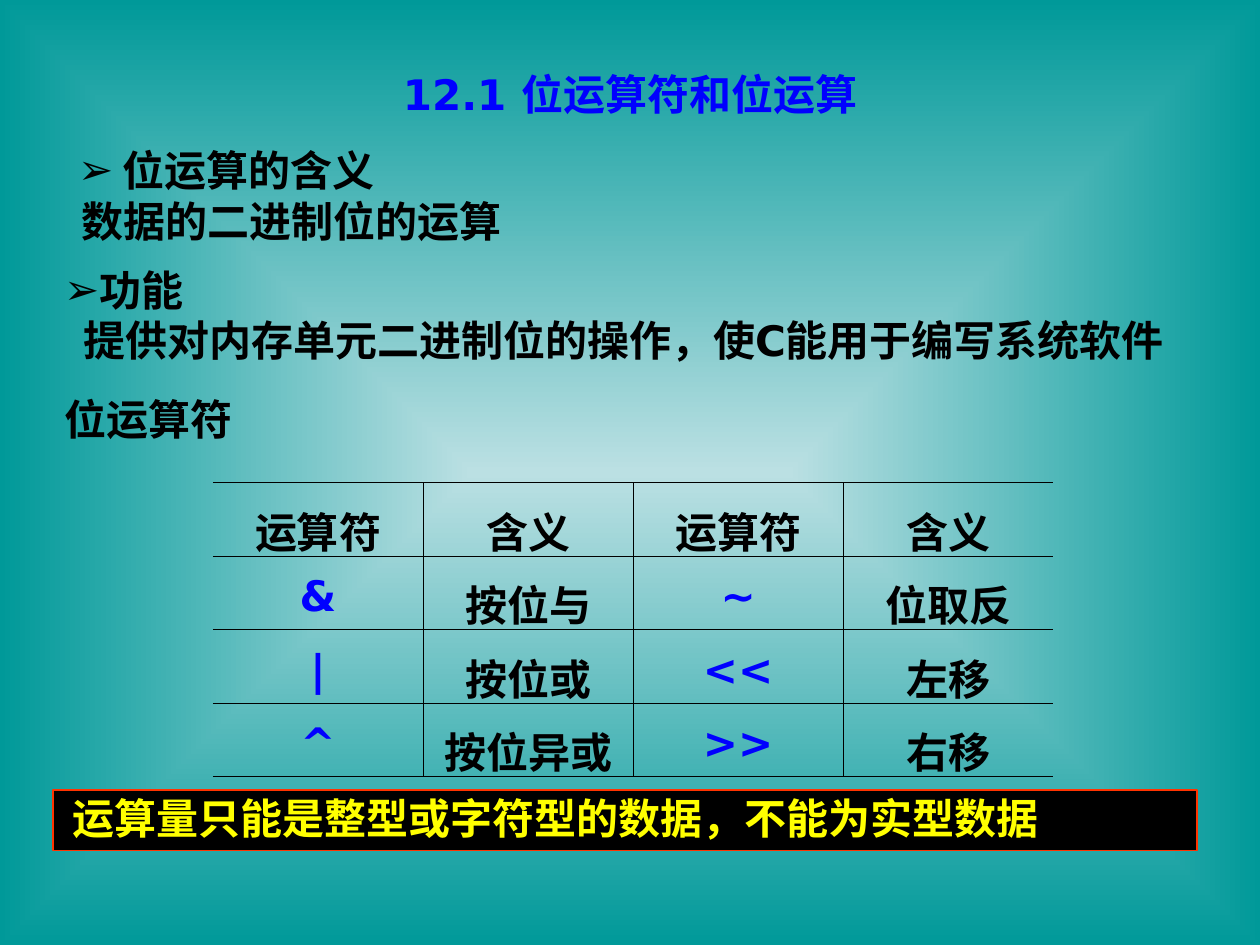
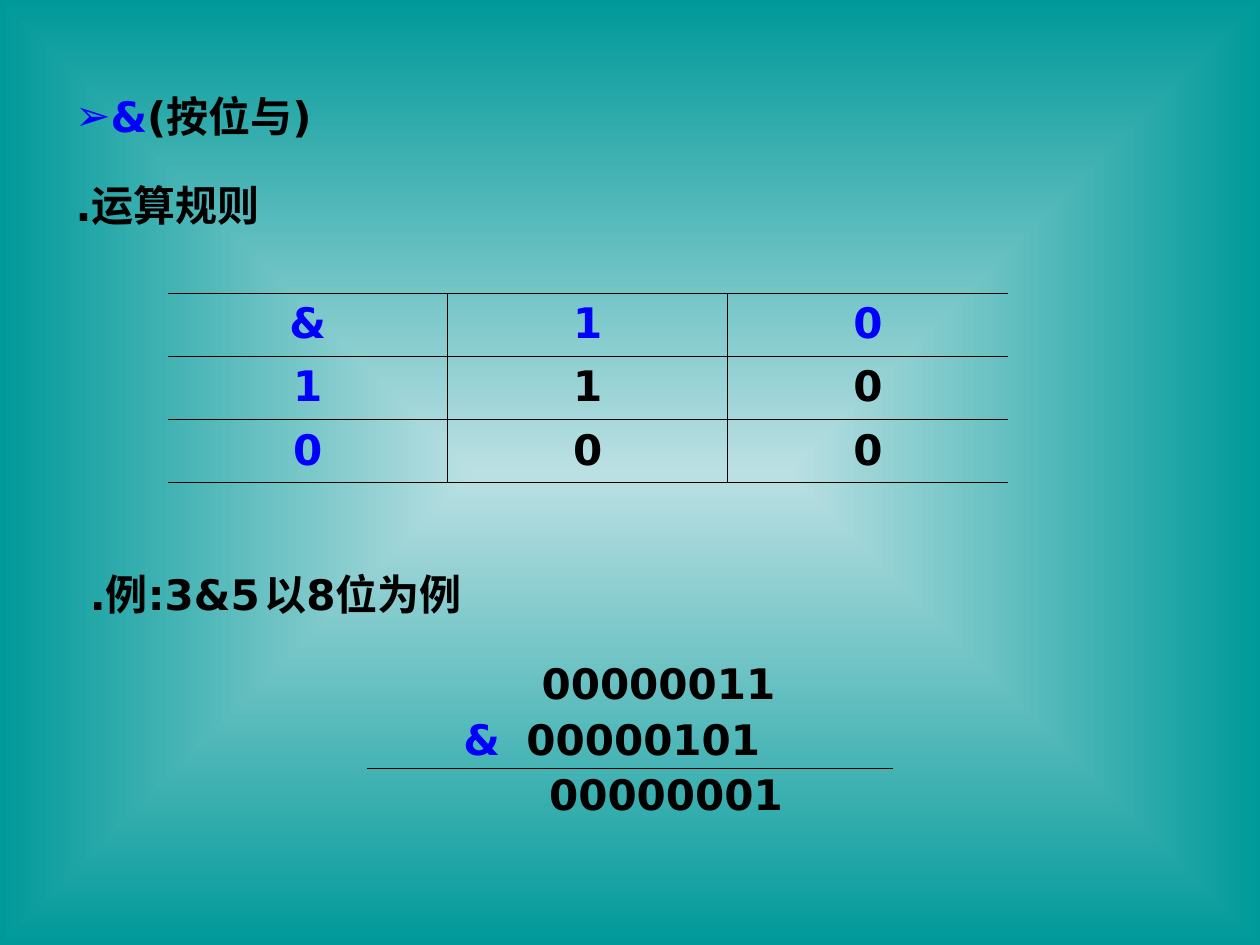
from lxml import etree
from pptx import Presentation
from pptx.dml.color import RGBColor
from pptx.enum.shapes import MSO_CONNECTOR as Connector, MSO_SHAPE as Shape
from pptx.enum.text import MSO_ANCHOR as Anchor, PP_ALIGN as Align
from pptx.oxml.ns import qn
from pptx.util import Inches, Pt

BLACK = RGBColor(0x00, 0x00, 0x00)
BLUE = RGBColor(0x00, 0x00, 0xFF)
YELLOW = RGBColor(0xFF, 0xFF, 0x00)
RED = RGBColor(0xFF, 0x33, 0x00)
PALE = RGBColor(0xBB, 0xE0, 0xE3)
TEAL = RGBColor(0x00, 0x99, 0x99)
FONT = "DejaVu Sans"
SIZE = Pt(24)


def write(paragraph, parts, left=0, hang=0, tab=None):
    """Fill a paragraph with (text, colour) parts; a hang gives it an arrow bullet."""
    props = paragraph._p.get_or_add_pPr()
    props.set("marL", str(Inches(left)))
    props.set("indent", str(-Inches(hang)))
    if hang:
        bullet_color = etree.SubElement(props, qn("a:buClr"))
        etree.SubElement(bullet_color, qn("a:srgbClr"), val=str(parts[0][1]))
        etree.SubElement(props, qn("a:buFont"), typeface=FONT)
        etree.SubElement(props, qn("a:buChar"), char="➢")
    else:
        etree.SubElement(props, qn("a:buNone"))
    if tab:
        tabs = etree.SubElement(props, qn("a:tabLst"))
        etree.SubElement(tabs, qn("a:tab"), pos=str(Inches(tab)), algn="l")
    for text, color in parts:
        run = paragraph.add_run()
        run.text = text
        run.font.name, run.font.size, run.font.bold = FONT, SIZE, True
        run.font.color.rgb = color


def add_text(shapes, box, lines, inset=True):
    """Add a text box; each line is a dict of arguments for write()."""
    frame = shapes.add_textbox(*map(Inches, box)).text_frame
    frame.word_wrap = True
    if not inset:
        frame.margin_left = frame.margin_right = 0
        frame.margin_top = frame.margin_bottom = 0
    for i, line in enumerate(lines):
        write(frame.add_paragraph() if i else frame.paragraphs[0], **line)
    return frame


prs = Presentation()
prs.slide_width, prs.slide_height = Inches(10), Inches(7.5)

# Shared background: pale centre fading to teal edges
backdrop = prs.slide_master.background.fill
backdrop.gradient()
for stop, color, position in zip(backdrop.gradient_stops, (PALE, TEAL), (0, 1)):
    stop.color.rgb = color
    stop.position = position
gradient = prs.slide_master.element.find(".//" + qn("a:gradFill"))
gradient.remove(gradient.find(qn("a:lin")))
path = etree.SubElement(gradient, qn("a:path"), path="rect")
etree.SubElement(path, qn("a:fillToRect"), l="50000", t="50000", r="50000", b="50000")

blank = prs.slide_layouts[6]
overview = prs.slides.add_slide(blank)
bitwise_and = prs.slides.add_slide(blank)

# Slide 1: operators at a glance
title = add_text(overview.shapes, (0.5, 0.49, 9, 0.5),
                 [dict(parts=[("12.1 位运算符和位运算", BLUE)])])
title.vertical_anchor = Anchor.MIDDLE
title.paragraphs[0].alignment = Align.CENTER
add_text(overview.shapes, (0.5, 1.15, 9, 0.8), [
    dict(parts=[("位运算的含义", BLACK)], left=0.47, hang=0.35),
    dict(parts=[("数据的二进制位的运算", BLACK)], left=0.15),
], inset=False)
add_text(overview.shapes, (0.51, 2.1, 9, 0.8), [
    dict(parts=[("功能", BLACK)], left=0.27, hang=0.27),
    dict(parts=[("提供对内存单元二进制位的操作，使C能用于编写系统软件", BLACK)], left=0.15),
], inset=False)
add_text(overview.shapes, (0.51, 3.12, 9, 0.4),
         [dict(parts=[("位运算符", BLACK)])], inset=False)

warning = overview.shapes.add_shape(
    Shape.RECTANGLE, Inches(0.42), Inches(6.27), Inches(9.08), Inches(0.48))
warning.shadow.inherit = False
warning.fill.solid()
warning.fill.fore_color.rgb = BLACK
warning.line.color.rgb = RED
warning.line.width = Pt(0.75)
warning.text_frame.word_wrap = True
warning.text_frame.vertical_anchor = Anchor.TOP
rule = warning.text_frame.paragraphs[0]
write(rule, [("运算量只能是整型或字符型的数据，不能为实型数据", YELLOW)], left=0.06)
rule.alignment = Align.LEFT
rule.line_spacing = 0.95

# Slide 2: bitwise AND
heading = add_text(bitwise_and.shapes, (0.5, 0.67, 9, 0.5), [
    dict(parts=[("&", BLUE), ("(按位与)", BLACK)], left=0.28, hang=0.28)])
heading.vertical_anchor = Anchor.MIDDLE
rules = add_text(bitwise_and.shapes, (0.5, 1.47, 9, 0.36),
                 [dict(parts=[(".运算规则", BLACK)], left=0.1)], inset=False)
rules.paragraphs[0].line_spacing = 0.9
add_text(bitwise_and.shapes, (0.5, 4.46, 8.92, 0.5),
         [dict(parts=[(" .例:3&5\t以8位为例", BLACK)], tab=5.17)])

calculation = bitwise_and.shapes.add_group_shape().shapes
digits = add_text(calculation, (3.58, 5.17, 3.22, 1.39), [
    dict(parts=[("00000011", BLACK)], left=0.62),
    dict(parts=[("&", BLUE), ("\t00000101", BLACK)], tab=0.62),
    dict(parts=[("00000001", BLACK)], left=0.68),
])
for number in digits.paragraphs[1:]:
    number.space_before = Pt(3)
sum_line = calculation.add_connector(
    Connector.STRAIGHT, Inches(2.91), Inches(6.1), Inches(7.09), Inches(6.1))
sum_line.line.color.rgb = BLACK
sum_line.line.width = Pt(0.75)
etree.SubElement(sum_line._element.spPr, qn("a:effectLst"))

# Both tables: inner rules, top and bottom, open at the sides
operators = [
    ["运算符", "含义", "运算符", "含义"],
    ["&", "按位与", "~", "位取反"],
    ["|", "按位或", "<<", "左移"],
    ["^", "按位异或", ">>", "右移"],
]
truth = [["&", "1", "0"], ["1", "1", "0"], ["0", "0", "0"]]
for slide, left, top, rows, is_blue in (
    (overview, 1.69, 3.83, operators, lambda r, c: r > 0 and c % 2 == 0),
    (bitwise_and, 1.33, 2.33, truth, lambda r, c: r == 0 or c == 0),
):
    last = len(rows[0]) - 1
    table = slide.shapes.add_table(
        len(rows), last + 1, Inches(left), Inches(top),
        Inches(6.67), Inches(0.5 * len(rows))).table
    table.first_row = table.horz_banding = False
    for r, row in enumerate(rows):
        for c, text in enumerate(row):
            cell = table.cell(r, c)
            cell.fill.background()
            paragraph = cell.text_frame.paragraphs[0]
            write(paragraph, [(text, BLUE if is_blue(r, c) else BLACK)])
            paragraph.alignment = Align.CENTER
            # The first text line keeps its gap through the cell margin
            cell.margin_top = Inches(0.05) + (Pt(6) if slide is overview else 0)
            for i, side in enumerate("LRTB"):
                border = etree.Element(qn("a:ln" + side), w=str(Pt(0.45)))
                if (side, c) in (("L", 0), ("R", last)):
                    etree.SubElement(border, qn("a:noFill"))
                else:
                    fill = etree.SubElement(border, qn("a:solidFill"))
                    etree.SubElement(fill, qn("a:srgbClr"), val=str(BLACK))
                cell._tc.get_or_add_tcPr().insert(i, border)

prs.save("out.pptx")
